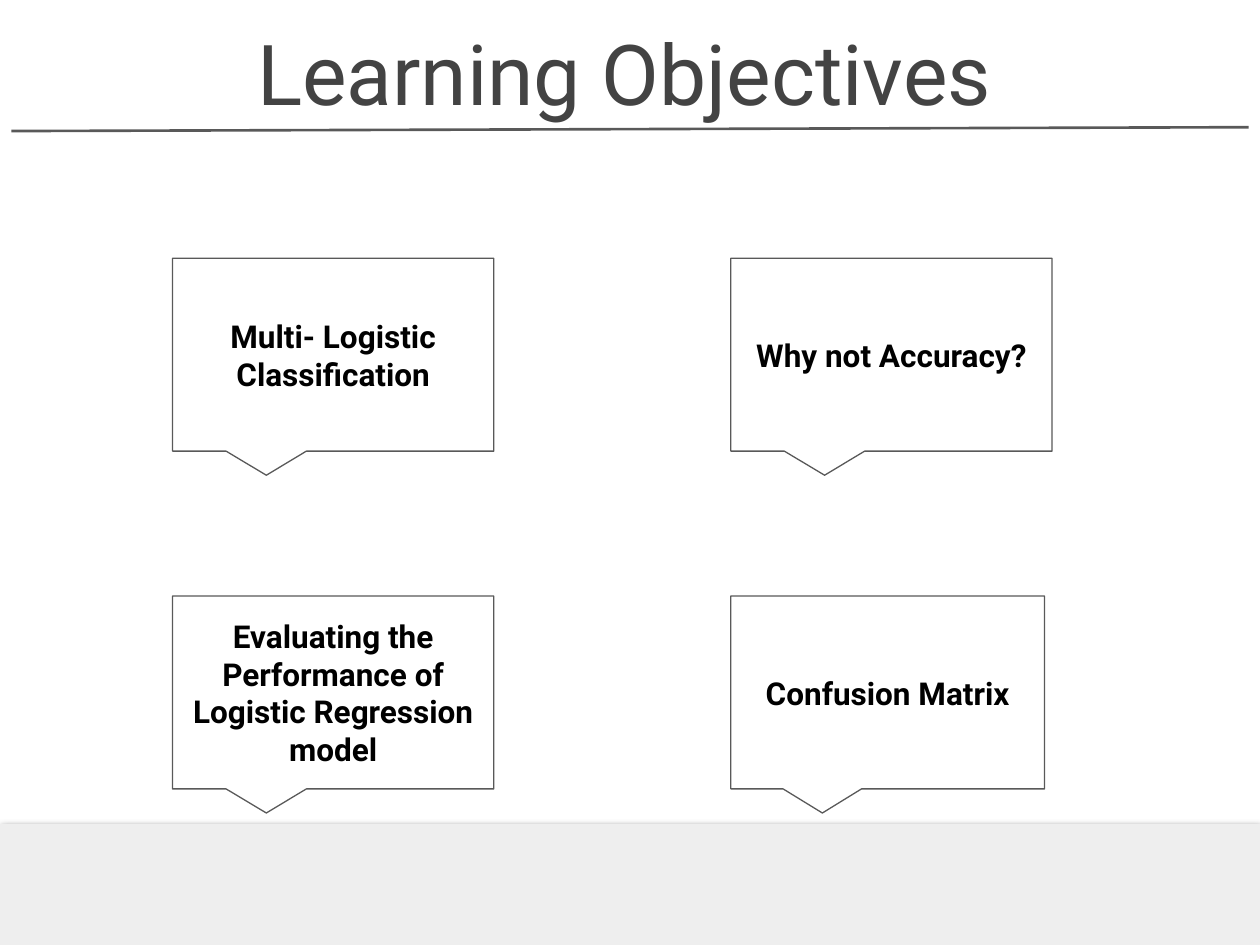
from dataclasses import dataclass

from lxml import etree
from pptx import Presentation
from pptx.dml.color import RGBColor
from pptx.enum.shapes import MSO_CONNECTOR, MSO_SHAPE
from pptx.enum.text import MSO_ANCHOR, PP_ALIGN
from pptx.oxml import parse_xml
from pptx.oxml.ns import nsdecls, qn
from pptx.shapes.autoshape import Shape
from pptx.slide import Slide
from pptx.util import Pt

CENTER = PP_ALIGN.CENTER
MIDDLE, BOTTOM = MSO_ANCHOR.MIDDLE, MSO_ANCHOR.BOTTOM
CALLOUT, RECTANGLE = MSO_SHAPE.ROUNDED_RECTANGULAR_CALLOUT, MSO_SHAPE.RECTANGLE
STRAIGHT = MSO_CONNECTOR.STRAIGHT

BLACK = RGBColor(0x00, 0x00, 0x00)
TITLE_GRAY = RGBColor(0x43, 0x43, 0x43)
LINE_GRAY = RGBColor(0x59, 0x59, 0x59)
FOOTER_GRAY = RGBColor(0xEE, 0xEE, 0xEE)

FONT = "Roboto"
PADDING = 7.2
PAGE_WIDTH, PAGE_HEIGHT = 720, 540
FOOTER_TOP = 470.9
COLUMNS = (98.6, 417.6)
ROWS = (147.6, 340.6)
CALLOUT_HEIGHT = 110.2
CALLOUT_ADJUSTMENTS = (-0.208, 0.625, 0)


@dataclass(frozen=True)
class Objective:
    text: str
    column: int
    row: int
    width: float = 183.6


OBJECTIVES = (
    Objective("Multi- Logistic Classification", 0, 0),
    Objective("Why not Accuracy?", 1, 0),
    Objective("Evaluating the Performance of Logistic Regression model", 0, 1),
    Objective("Confusion Matrix", 1, 1, width=179.3),
)


def write_text(box: Shape, text: str, *, size: float, color: RGBColor,
               bold: bool = False, anchor: MSO_ANCHOR = MIDDLE) -> None:
    frame = box.text_frame
    frame.word_wrap = True
    frame.vertical_anchor = anchor
    frame.margin_left = frame.margin_right = Pt(PADDING)
    frame.margin_top = frame.margin_bottom = Pt(PADDING)
    para = frame.paragraphs[0]
    para.alignment = CENTER
    span = para.add_run()
    span.text = text
    span.font.name = FONT
    span.font.size = Pt(size)
    span.font.bold = bold
    span.font.color.rgb = color


def draw_rule(page: Slide) -> None:
    rule = page.shapes.add_connector(STRAIGHT, Pt(6.5), Pt(74.9), Pt(713.5), Pt(72.7))
    rule.line.color.rgb = LINE_GRAY
    rule.line.width = Pt(1.5)
    etree.SubElement(rule._element.spPr, qn("a:effectLst"))


def draw_footer(page: Slide) -> None:
    footer = page.shapes.add_shape(
        RECTANGLE, 0, Pt(FOOTER_TOP), Pt(PAGE_WIDTH), Pt(PAGE_HEIGHT - FOOTER_TOP))
    footer.fill.solid()
    footer.fill.fore_color.rgb = FOOTER_GRAY
    footer.line.fill.background()
    footer.shadow.inherit = False
    effects = footer._element.spPr.find(qn("a:effectLst"))
    effects.append(parse_xml(
        f'<a:outerShdw {nsdecls("a")} blurRad="{Pt(4.5)}" dist="{Pt(1.5)}" '
        f'dir="5400000" algn="bl" rotWithShape="0"><a:srgbClr val="{BLACK}">'
        '<a:alpha val="50000"/></a:srgbClr></a:outerShdw>'))


def draw_title(page: Slide) -> None:
    title = page.shapes.add_textbox(Pt(93.6), Pt(13.7), Pt(526.3), Pt(63.4))
    write_text(title, "Learning Objectives", size=48, color=TITLE_GRAY, anchor=BOTTOM)


def draw_objective(page: Slide, objective: Objective) -> None:
    callout = page.shapes.add_shape(
        CALLOUT, Pt(COLUMNS[objective.column]), Pt(ROWS[objective.row]),
        Pt(objective.width), Pt(CALLOUT_HEIGHT))
    for index, value in enumerate(CALLOUT_ADJUSTMENTS):
        callout.adjustments[index] = value
    callout.shadow.inherit = False
    callout.fill.background()
    callout.line.color.rgb = LINE_GRAY
    callout.line.width = Pt(0.75)
    write_text(callout, objective.text, size=18, color=BLACK, bold=True)


def main() -> None:
    deck = Presentation()
    deck.slide_width, deck.slide_height = Pt(PAGE_WIDTH), Pt(PAGE_HEIGHT)
    page = deck.slides.add_slide(deck.slide_layouts[6])
    draw_rule(page)
    draw_footer(page)
    draw_title(page)
    for objective in OBJECTIVES:
        draw_objective(page, objective)
    deck.save("out.pptx")


main()
